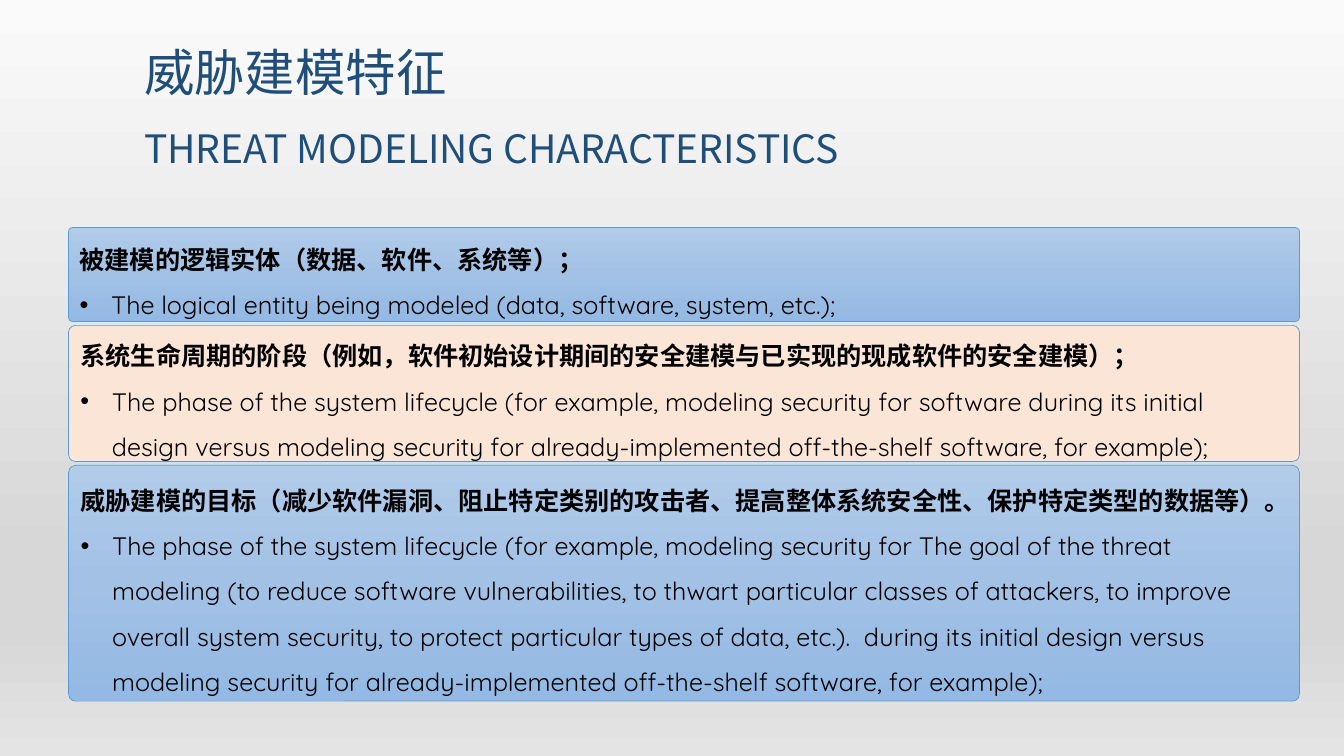
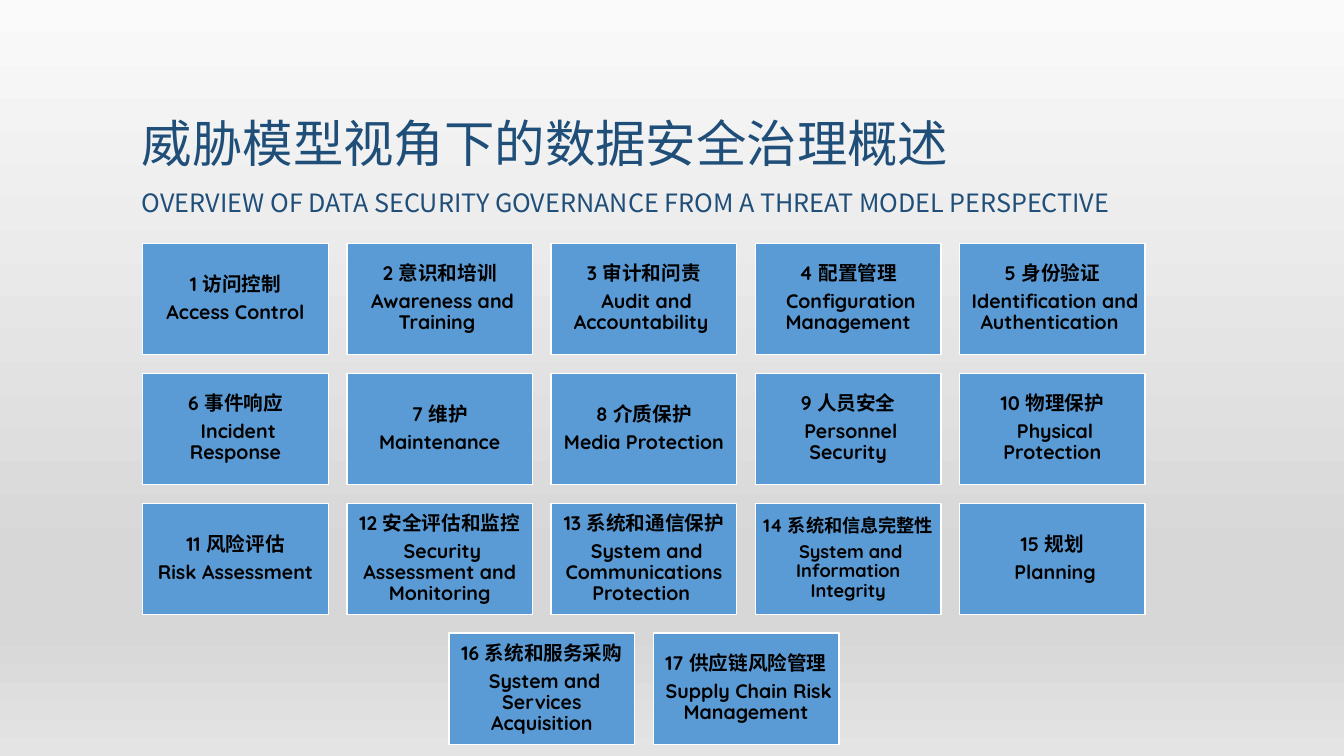
from lxml import etree
from pptx import Presentation
from pptx.dml.color import RGBColor
from pptx.enum.shapes import MSO_SHAPE
from pptx.enum.text import MSO_ANCHOR, PP_ALIGN
from pptx.oxml.ns import qn
from pptx.util import Pt

RECT, ROUND = MSO_SHAPE.RECTANGLE, MSO_SHAPE.ROUNDED_RECTANGLE
MIDDLE, BOTTOM = MSO_ANCHOR.MIDDLE, MSO_ANCHOR.BOTTOM
LEFT, CENTER = PP_ALIGN.LEFT, PP_ALIGN.CENTER

HAN, LATIN = "Noto Sans CJK SC", "Quicksand"
NAVY, BLUE, PEACH = "1F4E79", "5B9BD5", "FBE5D6"
BLACK, WHITE = "000000", "FFFFFF"
BACK = [(0, "FAFAFA"), (74, "D7D7D7"), (83, "D7D7D7"), (100, "E4E4E4")]
SKY = [(0, "B1CBE9"), (50, "A3C1E5"), (100, "93B9E4")]

# Title lines, size of the second line, left, top
TRAITS_TITLE = ("威胁建模特征", "THREAT MODELING CHARACTERISTICS", 27.9, 95.8, 21.6)
TOPICS_TITLE = (
    "威胁模型视角下的数据安全治理概述",
    "OVERVIEW OF DATA SECURITY GOVERNANCE FROM A THREAT MODEL PERSPECTIVE",
    18, 94.3, 54.7,
)

# Heading, detail, height, corner, fill
TRAITS = [
    ("被建模的逻辑实体（数据、软件、系统等）；",
     "The logical entity being modeled (data, software, system, etc.);",
     67, 0.04, SKY),
    ("系统生命周期的阶段（例如，软件初始设计期间的安全建模与已实现的现成软件的安全建模）；",
     "The phase of the system lifecycle (for example, modeling security for "
     "software during its initial design versus modeling security for "
     "already-implemented off-the-shelf software, for example);",
     97.2, 0.05, PEACH),
    ("威胁建模的目标（减少软件漏洞、阻止特定类别的攻击者、提高整体系统安全性、保护特定类型的数据等）。",
     "The phase of the system lifecycle (for example, modeling security for "
     "The goal of the threat modeling (to reduce software vulnerabilities, to "
     "thwart particular classes of attackers, to improve overall system "
     "security, to protect particular types of data, etc.).  during its initial "
     "design versus modeling security for already-implemented off-the-shelf "
     "software, for example);",
     168.4, 0.03, SKY),
]
TRAIT_LEFT, TRAIT_TOP, TRAIT_WIDTH, TRAIT_GAP = 49, 162.6, 879.2, 2.8

TOPICS = [
    ("访问控制", " Access Control "),
    ("意识和培训", " Awareness and Training "),
    ("审计和问责", " Audit and Accountability "),
    ("配置管理", " Configuration Management"),
    ("身份验证", " Identification and Authentication "),
    ("事件响应", " Incident Response"),
    ("维护", " Maintenance "),
    ("介质保护", " Media Protection "),
    ("人员安全", " Personnel Security"),
    ("物理保护", " Physical Protection"),
    ("风险评估", " Risk Assessment "),
    ("安全评估和监控", " Security Assessment and Monitoring"),
    ("系统和通信保护", " System and Communications Protection "),
    ("系统和信息完整性", " System and Information Integrity"),
    ("规划", " Planning"),
    ("系统和服务采购", " System and Services Acquisition"),
    ("供应链风险管理", " Supply Chain Risk Management"),
]
SMALL = {14: 13}  # topic number: text size
COLS, GRID_LEFT, GRID_TOP, TILE = 5, 102, 173.8, 132.6
TILE_HEIGHT, TILE_GAP = TILE * 0.6, TILE * 0.1


def rgb(code):
    return RGBColor.from_string(code)


def paint(owner, fill, color):
    """Fill with one colour, or downwards through a list of (percent, colour)."""
    if isinstance(color, str):
        fill.solid()
        fill.fore_color.rgb = rgb(color)
        return
    fill.gradient()
    fill.gradient_angle = 270
    stops = owner.element.find(".//" + qn("a:gsLst"))
    for old in list(stops):
        stops.remove(old)
    for percent, code in color:
        stop = etree.SubElement(stops, qn("a:gs"), pos=str(percent * 1000))
        etree.SubElement(stop, qn("a:srgbClr"), val=code)


def style(run, size, color, bold=False, face=HAN):
    font = run.font
    font.size, font.bold, font.name = Pt(size), bold, face
    font.color.rgb = rgb(color)
    east = etree.Element(qn("a:ea"), typeface=HAN)
    run._r.rPr.find(qn("a:latin")).addnext(east)


def add_title(slide, title):
    first, second, size, left, top = title
    box = slide.shapes.add_textbox(Pt(left), Pt(top), Pt(768), Pt(104.4))
    frame = box.text_frame
    frame.word_wrap, frame.vertical_anchor = True, BOTTOM
    para = frame.paragraphs[0]
    para.text = first + "\v" + second
    para.line_spacing = 1.5
    for run, points in zip(para.runs, (36, size)):
        style(run, points, NAVY)


def add_panel(slide, kind, place, color, edge, weight, lines):
    """Add a filled shape with text; return it with its paragraphs."""
    shape = slide.shapes.add_shape(kind, *map(Pt, place))
    shape.shadow.inherit = False
    paint(shape, shape.fill, color)
    shape.line.color.rgb = rgb(edge)
    shape.line.width = Pt(weight)
    frame = shape.text_frame
    frame.text = "\n".join(lines)
    frame.word_wrap, frame.vertical_anchor = True, MIDDLE
    return shape, frame.paragraphs


def add_bullet(para):
    props = para._p.get_or_add_pPr()
    props.set("marL", str(Pt(22.5)))
    props.set("indent", str(-Pt(22.5)))
    etree.SubElement(props, qn("a:buFont"), typeface="Arial")
    etree.SubElement(props, qn("a:buChar"), char="•")


def build_traits(slide):
    add_title(slide, TRAITS_TITLE)
    top = TRAIT_TOP
    for head, detail, height, corner, color in TRAITS:
        place = (TRAIT_LEFT, top, TRAIT_WIDTH, height)
        shape, paras = add_panel(slide, ROUND, place, color, BLUE, 0.5, (head, detail))
        shape.adjustments[0] = corner
        for para in paras:
            para.alignment, para.line_spacing = LEFT, 1.5
        style(paras[0].runs[0], 18, BLACK, bold=True)
        style(paras[1].runs[0], 18, BLACK, face=LATIN)
        add_bullet(paras[1])
        top += height + TRAIT_GAP


def build_topics(slide):
    add_title(slide, TOPICS_TITLE)
    for index, (head, detail) in enumerate(TOPICS):
        row, col = divmod(index, COLS)
        count = min(COLS, len(TOPICS) - row * COLS)
        shift = col + (COLS - count) / 2  # centres a short last row
        place = (GRID_LEFT + shift * (TILE + TILE_GAP),
                 GRID_TOP + row * (TILE_HEIGHT + TILE_GAP), TILE, TILE_HEIGHT)
        number = index + 1
        size = SMALL.get(number, 14)
        lines = (f"{number} {head}", detail)
        shape, paras = add_panel(slide, RECT, place, BLUE, WHITE, 1, lines)
        frame, inset = shape.text_frame, Pt(size * 0.3)
        frame.margin_left = frame.margin_right = inset
        frame.margin_top = frame.margin_bottom = inset
        for para in paras:
            para.alignment, para.line_spacing = CENTER, 0.9
            para.space_after = Pt(size * 0.35)
            style(para.runs[0], size, BLACK, bold=True, face=LATIN)


def main():
    deck = Presentation()
    deck.slide_width, deck.slide_height = Pt(960), Pt(540)
    master = deck.slide_master
    paint(master, master.background.fill, BACK)
    for build in (build_traits, build_topics):
        build(deck.slides.add_slide(deck.slide_layouts[6]))
    deck.save("out.pptx")


if __name__ == "__main__":
    main()
